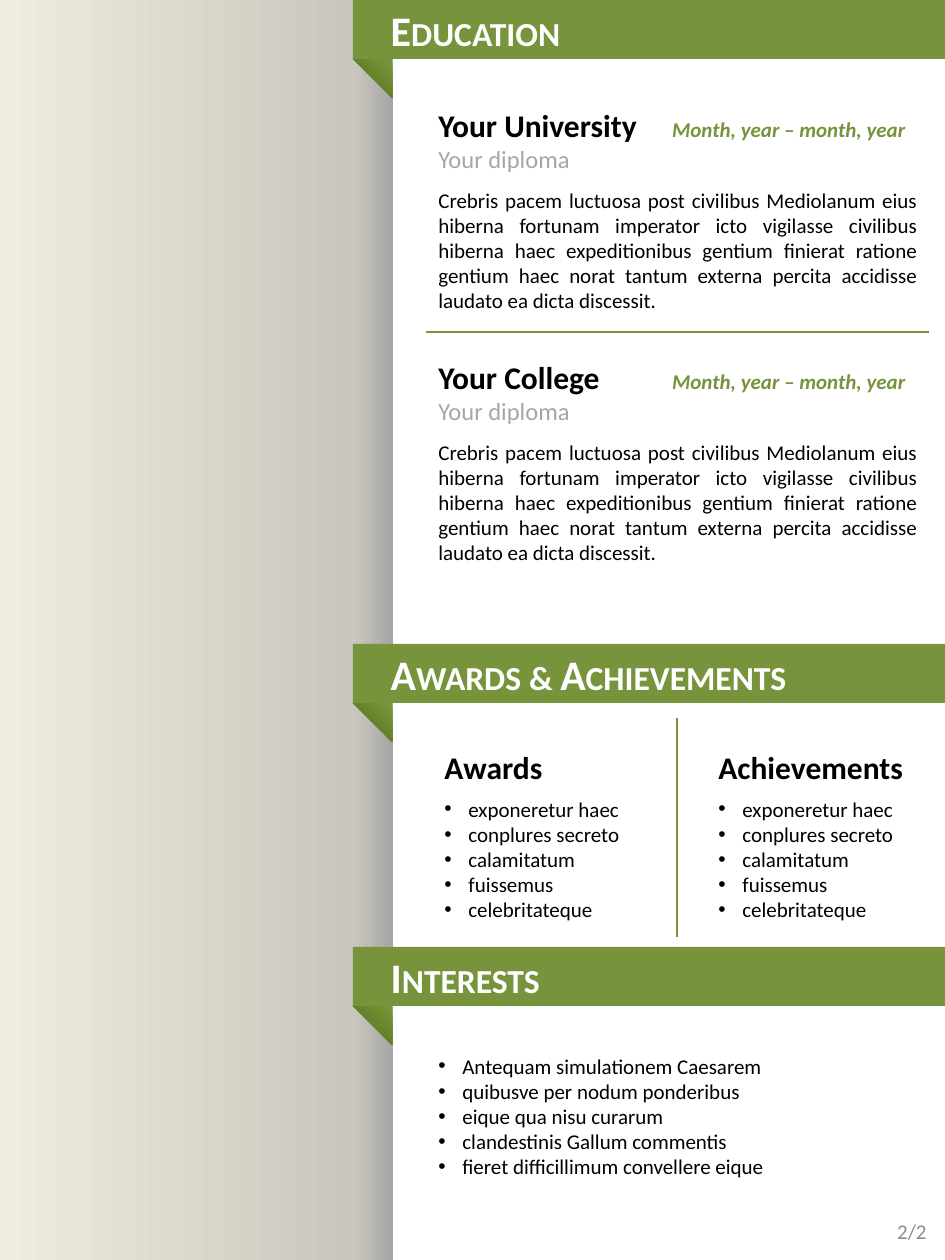
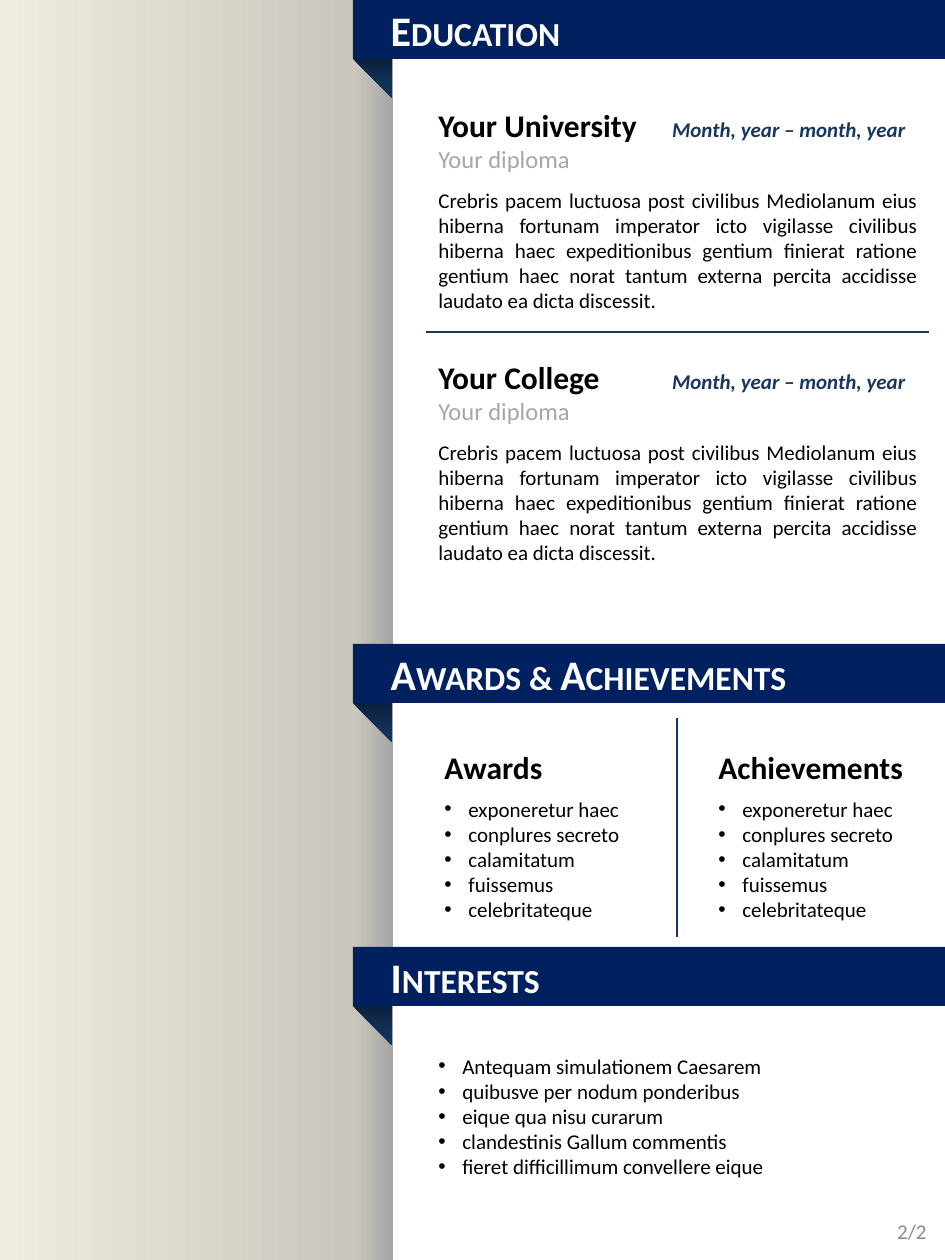
from lxml import etree
from pptx import Presentation
from pptx.dml.color import RGBColor as RGB
from pptx.enum.shapes import MSO_CONNECTOR as LINK, MSO_SHAPE as SHAPE
from pptx.enum.text import MSO_ANCHOR as ANCHOR, MSO_AUTO_SIZE as FIT, PP_ALIGN as ALIGN
from pptx.oxml.ns import qn
from pptx.util import Inches, Pt

PX = Inches(1) / 126
FONT = "Calibri"
BLACK, WHITE = RGB(0, 0, 0), RGB(255, 255, 255)
PALE, GREY = RGB(0xA6, 0xA6, 0xA6), RGB(0x8C, 0x8C, 0x8C)
STONE, CREAM = RGB(0xC9, 0xC7, 0xBD), RGB(0xEF, 0xED, 0xE0)
GREEN, NAVY, BLUE = RGB(0x77, 0x93, 0x3C), RGB(0, 0x20, 0x60), RGB(0x17, 0x37, 0x5E)
MOSS = RGB(0x48, 0x5B, 0x20), RGB(0x66, 0x81, 0x2D), RGB(0x79, 0x99, 0x36)
DUSK = RGB(0x0B, 0x20, 0x3B), RGB(0x0F, 0x2E, 0x53), RGB(0x12, 0x36, 0x63)

# Band colour, accent colour, fold colours, round fold shading
THEMES = [(GREEN, GREEN, MOSS, True), (NAVY, BLUE, DUSK, False)]
BANDS = [(0, "Education"), (644, "Awards & Achievements"), (947, "Interests")]
SCHOOLS = [(100, "Your University", 226), (352, "Your College", 188)]
STUDY = ("Crebris pacem luctuosa post civilibus Mediolanum eius hiberna fortunam "
         "imperator icto vigilasse civilibus hiberna haec expeditionibus gentium "
         "finierat ratione gentium haec norat tantum externa percita accidisse "
         "laudato ea dicta discessit.")
LISTS = [(432, "Awards", 125), (706, "Achievements", 212)]
PRIZES = ["exponeretur haec", "conplures secreto", "calamitatum", "fuissemus",
          "celebritateque"]
HOBBIES = ["Antequam simulationem Caesarem", "quibusve per nodum ponderibus",
           "eique qua nisu curarum", "clandestinis Gallum commentis",
           "fieret difficillimum convellere eique"]


def shade(shape, stops, angle=0, ring=False):
    """Fill a shape with a gradient of (percent, colour) stops."""
    shape.shadow.inherit = False
    shape.line.fill.background()
    shape.fill.gradient()
    grad = shape.fill._xPr.find(qn("a:gradFill"))
    grad.clear()
    grad.set("rotWithShape", "1")
    group = etree.SubElement(grad, qn("a:gsLst"))
    for spot, colour in stops:
        stop = etree.SubElement(group, qn("a:gs"), pos=str(spot * 1000))
        etree.SubElement(stop, qn("a:srgbClr"), val=str(colour))
    if ring:
        way = etree.SubElement(grad, qn("a:path"), path="circle")
        etree.SubElement(way, qn("a:fillToRect"), t="100000", r="100000")
    else:
        etree.SubElement(grad, qn("a:lin"), ang=str(angle * 60000), scaled="0")


def write(box, lines, size=12, colour=BLACK, bold=False, align=ALIGN.LEFT,
          wrap=True, dots=False):
    """Place a text box, one paragraph a line, and return its frame."""
    frame = slide.shapes.add_textbox(*[round(n * PX) for n in box]).text_frame
    frame.word_wrap = wrap
    frame.auto_size = FIT.SHAPE_TO_FIT_TEXT
    frame.text = "\n".join(lines)
    for para in frame.paragraphs:
        para.alignment = align
        font = para.font
        font.name, font.size, font.bold = FONT, Pt(size), bold
        font.color.rgb = colour
        if dots:
            props = para._p.get_or_add_pPr()
            props.set("marL", str(round(24 * PX)))
            props.set("indent", str(round(-24 * PX)))
            mark = etree.Element(qn("a:buChar"), char="•")
            props.insert(0, mark)
            mark.addprevious(etree.Element(qn("a:buFont"), typeface="Arial"))
    return frame


deck = Presentation()
deck.slide_width, deck.slide_height = Inches(7.5), Inches(10)

for main, accent, fold, ring in THEMES:
    slide = deck.slides.add_slide(deck.slide_layouts[6])
    shapes = slide.shapes

    # Side panel
    panel = shapes.add_shape(SHAPE.RECTANGLE, 0, 0, round(393 * PX), deck.slide_height)
    shade(panel, [(0, PALE), (10, STONE), (100, CREAM)], angle=180)

    # Title bands, each with a folded corner
    for top, title in BANDS:
        left, high, side = round(353 * PX), round(59 * PX), round(39.5 * PX)
        corner = shapes.add_shape(SHAPE.RIGHT_TRIANGLE, left, round(top * PX) + high,
                                  side, side)
        corner.rotation = 270
        corner._element.spPr.xfrm.set("flipH", "1")
        shade(corner, zip((0, 50, 100), fold), ring=ring)

        band = shapes.add_shape(SHAPE.RECTANGLE, left, round(top * PX),
                                deck.slide_width - left, high)
        band.shadow.inherit = False
        band.fill.solid()
        band.fill.fore_color.rgb = main
        band.line.fill.background()
        frame = band.text_frame
        frame.margin_left = Inches(0.3)
        frame.vertical_anchor = ANCHOR.MIDDLE
        para = frame.paragraphs[0]
        para.text, para.alignment = title, ALIGN.LEFT
        font = para.font
        font.name, font.size, font.bold = FONT, Pt(24), True
        font.color.rgb = WHITE
        para._p.pPr.find(qn("a:defRPr")).set("cap", "small")

    # Education
    for top, name, wide in SCHOOLS:
        frame = write((426, top, wide, 81), [name, "Your diploma"], 18, bold=True,
                      wrap=False)
        font = frame.paragraphs[1].font
        font.size, font.bold, font.color.rgb = Pt(14), False, PALE
        write((426, top + 81, 504, 140), [STUDY], align=ALIGN.JUSTIFY)
        dates = write((656, top + 10, 262, 38), ["Month, year – month, year"],
                      colour=accent, bold=True, align=ALIGN.RIGHT, wrap=False)
        dates.paragraphs[0].font.italic = True

    # Awards and achievements
    for left, name, wide in LISTS:
        write((left, 742, wide, 50), [name], 18, bold=True, wrap=False)
        write((left, 790, 217, 140), PRIZES, align=ALIGN.JUSTIFY, dots=True)

    # Interests
    write((426, 1047, 504, 140), HOBBIES, align=ALIGN.JUSTIFY, dots=True)

    # Dividing lines
    for ends in [(426, 332, 929, 332), (677, 718, 677, 937)]:
        rule = shapes.add_connector(LINK.STRAIGHT, *[round(n * PX) for n in ends])
        rule.line.color.rgb, rule.line.width = accent, Pt(0.75)
        etree.SubElement(rule._element.spPr, qn("a:effectLst"))

    # Page number
    page = write((718, 1198, 221, 67), ["2/2"], colour=GREY, align=ALIGN.RIGHT)
    page.auto_size = FIT.NONE
    page.vertical_anchor = ANCHOR.MIDDLE

deck.save("out.pptx")
